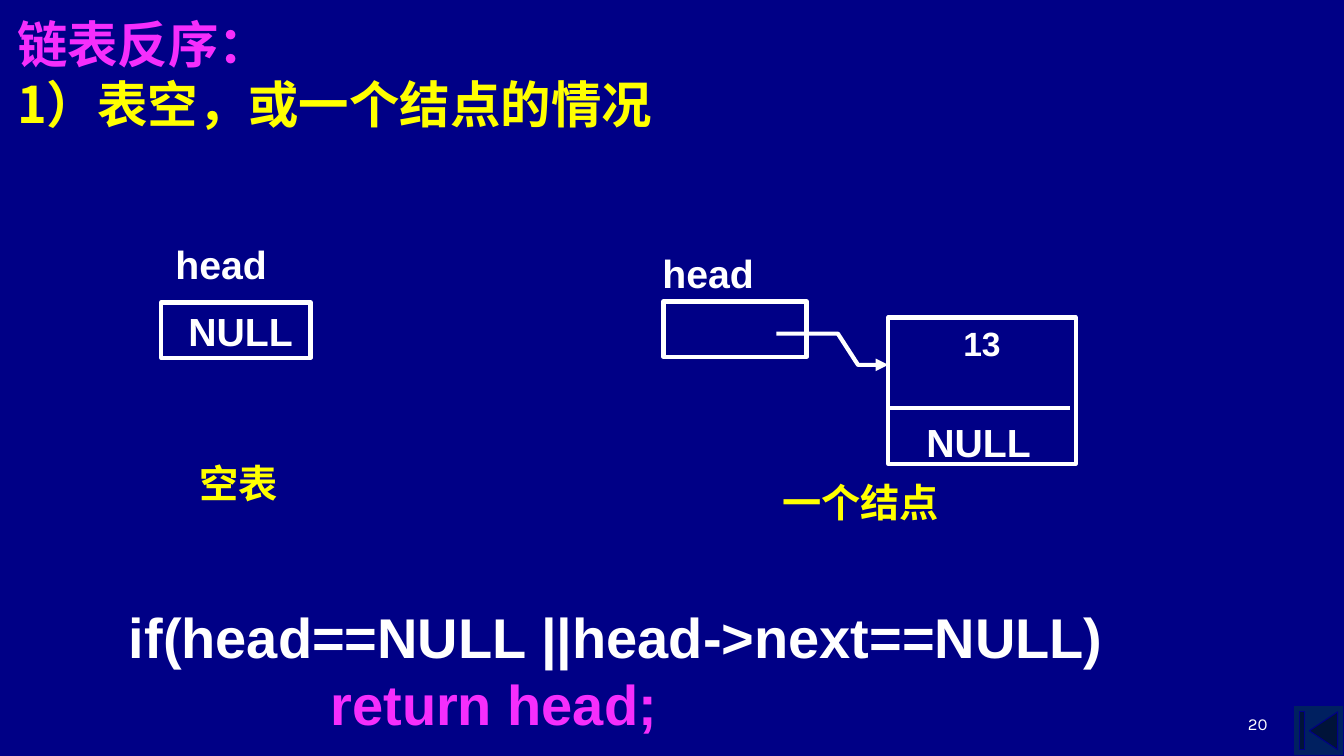
from dataclasses import dataclass

from lxml.etree import SubElement
from pptx import Presentation
from pptx.dml.color import RGBColor
from pptx.enum.shapes import MSO_CONNECTOR, MSO_SHAPE
from pptx.enum.text import MSO_ANCHOR, MSO_AUTO_SIZE, PP_ALIGN
from pptx.oxml.ns import qn
from pptx.util import Inches, Pt

NAVY, WHITE, YELLOW, PINK = "000086", "FFFFFF", "FFFF00", "F52EFC"
CJK = "Noto Sans CJK SC"


@dataclass
class Line:
    text: str
    size: float = 28
    color: str = WHITE
    font: str = "Arial"
    bold: bool = True
    align: PP_ALIGN = PP_ALIGN.LEFT
    indent: float = 0


@dataclass
class Label:
    left: float
    top: float
    width: float
    height: float
    lines: list[Line]
    inset: float | None = None
    anchor: MSO_ANCHOR = MSO_ANCHOR.TOP


@dataclass
class Box:
    left: float
    top: float
    width: float
    height: float


def rgb(value: str) -> RGBColor:
    return RGBColor.from_string(value)


def write(tf, lines: list[Line], anchor: MSO_ANCHOR = MSO_ANCHOR.TOP) -> None:
    for name, value in dict(word_wrap=True, auto_size=MSO_AUTO_SIZE.NONE,
                            vertical_anchor=anchor).items():
        setattr(tf, name, value)
    for i, line in enumerate(lines):
        p = tf.add_paragraph() if i else tf.paragraphs[0]
        p.alignment = line.align
        if line.indent:
            p._p.get_or_add_pPr().set("marL", str(Inches(line.indent)))
        r = p.add_run()
        r.text = line.text
        for name, value in dict(size=Pt(line.size), bold=line.bold, name=line.font).items():
            setattr(r.font, name, value)
        r.font.color.rgb = rgb(line.color)
        SubElement(r._r.get_or_add_rPr(), qn("a:ea"), typeface=CJK)


def add_label(s, label: Label) -> None:
    tf = s.shapes.add_textbox(Inches(label.left), Inches(label.top),
                              Inches(label.width), Inches(label.height)).text_frame
    if label.inset is not None:
        for side in ("left", "top", "right", "bottom"):
            setattr(tf, f"margin_{side}", Inches(label.inset))
    write(tf, label.lines, label.anchor)


def outline(sp, color: str = WHITE, width: float = 3) -> None:
    sp.line.color.rgb = rgb(color)
    sp.line.width = Pt(width)


def add_box(s, box: Box, kind: MSO_SHAPE = MSO_SHAPE.RECTANGLE):
    sp = s.shapes.add_shape(kind, Inches(box.left), Inches(box.top),
                            Inches(box.width), Inches(box.height))
    sp.shadow.inherit = False
    sp.fill.background()
    outline(sp)
    return sp


def add_pointer(s, points: list[tuple[float, float]]) -> None:
    start, *rest = [(Inches(x), Inches(y)) for x, y in points]
    builder = s.shapes.build_freeform(*start)
    builder.add_line_segments(rest, close=False)
    sp = builder.convert_to_shape()
    sp.shadow.inherit = False
    sp.fill.background()
    outline(sp)
    SubElement(sp.line._get_or_add_ln(), qn("a:tailEnd"), type="triangle")


def add_divider(s, left: float, right: float, y: float) -> None:
    cx = s.shapes.add_connector(MSO_CONNECTOR.STRAIGHT, Inches(left), Inches(y),
                                Inches(right), Inches(y))
    outline(cx)
    SubElement(cx._element.spPr, qn("a:effectLst"))


LABELS = [
    Label(1.73, 2.37, 1.78, 0.65, [Line("head")], inset=0.01),
    Label(6.56, 2.46, 1.42, 0.34, [Line("head")], inset=0.01),
    Label(1.77, 3, 1.62, 0.57, [Line("NULL")]),
    Label(9.09, 4.1, 2.03, 0.57, [Line("NULL")]),
    Label(1.88, 4.51, 1.21, 0.57, [Line("空表", color=YELLOW, font="Karla")]),
    Label(7.66, 4.7, 2.72, 0.57, [Line("一个结点", color=YELLOW, font="Karla")]),
    Label(1.18, 5.93, 10.98, 1.45, [
        Line("if(head==NULL ||head->next==NULL)", 40),
        Line("return head;", 40, PINK, indent=2)]),
    Label(9.56, 6.83, 3.11, 0.5,
          [Line("20", 12, font="Karla", bold=False, align=PP_ALIGN.RIGHT)],
          anchor=MSO_ANCHOR.BOTTOM),
]


def main() -> None:
    prs = Presentation()
    prs.slide_width, prs.slide_height = Inches(13.33), Inches(7.5)
    s = prs.slides.add_slide(prs.slide_layouts[5])
    s.background.fill.solid()
    s.background.fill.fore_color.rgb = rgb(NAVY)

    # Title
    title = s.shapes.title
    for name, value in dict(left=0.07, top=0.08, width=8.62, height=1.31).items():
        setattr(title, name, Inches(value))
    write(title.text_frame, [Line("链表反序：", 36, PINK, CJK),
                             Line("1）表空，或一个结点的情况", 36, YELLOW, CJK)])

    # Navigation button
    button = add_box(s, Box(12.83, 7, 0.5, 0.5), MSO_SHAPE.ACTION_BUTTON_BEGINNING)
    button.fill.solid()
    button.fill.fore_color.rgb = rgb("002060")
    outline(button, NAVY, 0.75)

    # Head pointers and the single node
    for head in (Box(1.6, 3, 1.48, 0.55), Box(6.58, 2.99, 1.42, 0.55)):
        add_box(s, head)
    node = add_box(s, Box(8.81, 3.15, 1.86, 1.45))
    write(node.text_frame, [Line("13", 24, align=PP_ALIGN.CENTER)])
    add_divider(s, 8.81, 10.61, 4.05)
    add_pointer(s, [(7.7, 3.31), (8.31, 3.31), (8.51, 3.62), (8.81, 3.62)])

    # Labels, code and slide number
    for label in LABELS:
        add_label(s, label)

    prs.save("out.pptx")


if __name__ == "__main__":
    main()
